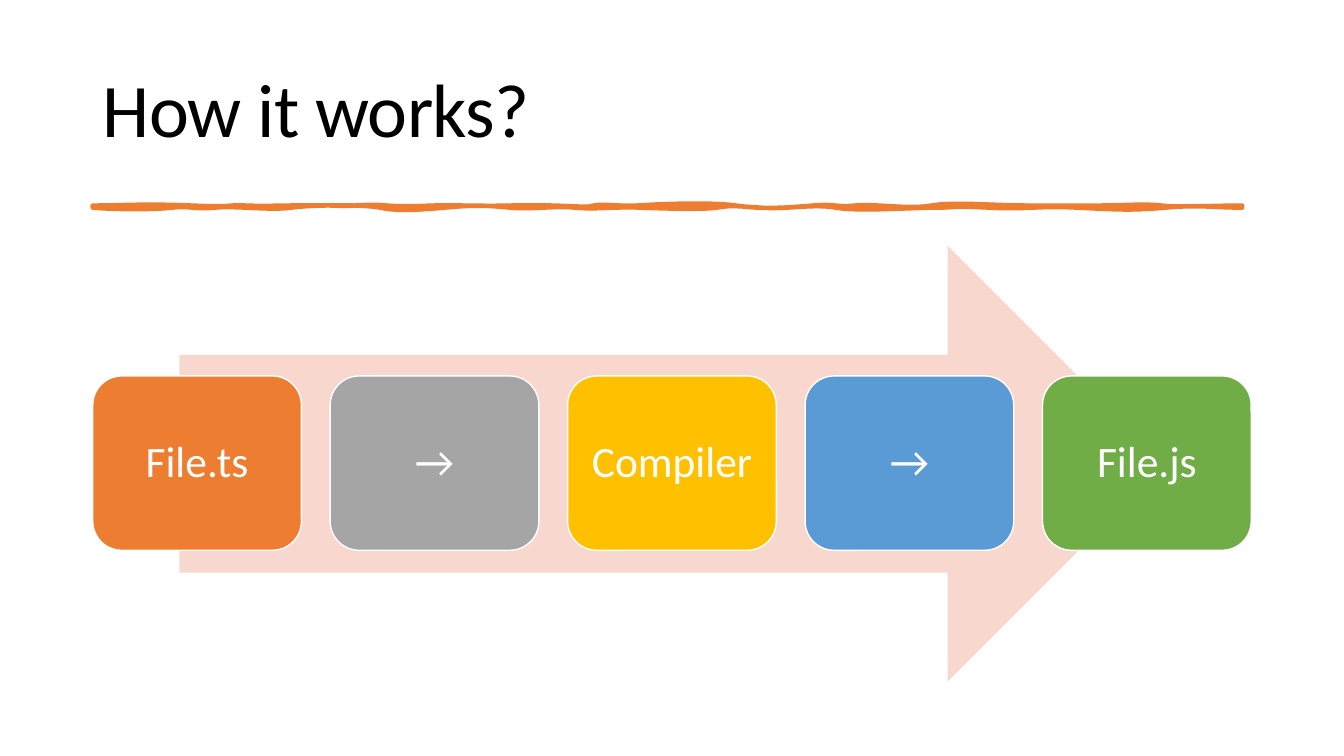
from dataclasses import dataclass

from lxml.etree import SubElement
from pptx import Presentation
from pptx.dml.color import RGBColor
from pptx.enum.shapes import MSO_SHAPE
from pptx.enum.text import MSO_ANCHOR, PP_ALIGN
from pptx.oxml.ns import qn
from pptx.util import Inches, Pt

# Content
TITLE = "How it works?"
STEPS = [
    ("File.ts", "ED7D31"),
    ("→", "A5A5A5"),
    ("Compiler", "FFC000"),
    ("→", "5B9BD5"),
    ("File.js", "70AD47"),
]

# Hand-drawn rule: each curve is two control points and an end point
RULE_START = (0.92, 2.04)
RULE_CURVES = [
    # upper edge, left to right
    (1.19, 2.04, 1.44, 2.02, 1.9, 2.04), (2.37, 2.06, 2.2, 2.03, 2.44, 2.04),
    (2.67, 2.05, 3.03, 2.03, 3.31, 2.04), (3.6, 2.05, 3.59, 2.02, 3.84, 2.04),
    (4.1, 2.06, 4.23, 2.03, 4.6, 2.04), (4.98, 2.05, 5.14, 2.03, 5.48, 2.04),
    (5.81, 2.05, 5.81, 2.06, 5.89, 2.04), (5.98, 2.02, 6.15, 2.05, 6.31, 2.04),
    (6.47, 2.03, 7.01, 2.0, 7.3, 2.04), (7.59, 2.08, 7.81, 2.06, 8.06, 2.04),
    (8.31, 2.02, 8.27, 2.06, 8.48, 2.04), (8.68, 2.02, 9.01, 2.08, 9.24, 2.04),
    (9.47, 2.0, 9.82, 2.04, 10.23, 2.04), (10.63, 2.04, 10.63, 2.04, 10.87, 2.04),
    (11.12, 2.04, 11.36, 2.02, 11.52, 2.04), (11.68, 2.06, 12.03, 2.04, 12.32, 2.04),
    # right end, then lower edge, right to left
    (12.32, 2.05, 12.32, 2.05, 12.32, 2.06),
    (12.05, 2.06, 11.89, 2.03, 11.56, 2.06), (11.22, 2.09, 11.1, 2.08, 10.68, 2.06),
    (10.27, 2.04, 10.23, 2.08, 9.81, 2.06), (9.39, 2.04, 9.52, 2.06, 9.28, 2.06),
    (9.04, 2.06, 8.51, 2.1, 8.29, 2.06), (8.06, 2.02, 7.82, 2.08, 7.53, 2.06),
    (7.24, 2.04, 7.25, 2.04, 7.11, 2.06), (6.98, 2.08, 6.61, 2.07, 6.35, 2.06),
    (6.09, 2.05, 5.9, 2.08, 5.7, 2.06), (5.51, 2.04, 5.28, 2.08, 5.06, 2.06),
    (4.83, 2.04, 4.73, 2.03, 4.41, 2.06), (4.09, 2.09, 3.9, 2.09, 3.77, 2.06),
    (3.63, 2.03, 3.1, 2.03, 2.89, 2.06), (2.68, 2.09, 2.35, 2.04, 2.13, 2.06),
    (1.92, 2.08, 1.89, 2.04, 1.71, 2.06), (1.54, 2.08, 1.14, 2.08, 0.92, 2.06),
]

# Layout
LEFT, RIGHT = 0.92, 12.41
BOX_TOP, BOX_WIDTH, BOX_HEIGHT = 3.73, 2.07, 1.73
BOX_INSET = 0.13
BOX_PITCH = (RIGHT - LEFT - BOX_WIDTH) / (len(STEPS) - 1)


@dataclass
class Theme:
    font: str = "Calibri"
    title: str = "000000"
    rule: str = "ED7D31"
    arrow: str = "F8D7CE"
    light: str = "FFFFFF"
    title_size: float = 54
    step_size: float = 31
    rule_width: float = 3.25
    border_width: float = 1


theme = Theme()


def paint(shape, fill, line=None, width=0):
    shape.shadow.inherit = False
    shape.fill.solid()
    shape.fill.fore_color.rgb = RGBColor.from_string(fill)
    if line:
        shape.line.color.rgb = RGBColor.from_string(line)
        shape.line.width = Pt(width)
    else:
        shape.line.fill.background()


def write(shape, text, size, color, align):
    frame = shape.text_frame
    frame.word_wrap = True
    frame.vertical_anchor = MSO_ANCHOR.MIDDLE
    para = frame.paragraphs[0]
    para.alignment = align
    para.line_spacing = 0.9
    span = para.add_run()
    span.text = text
    span.font.name = theme.font
    span.font.size = Pt(size)
    span.font.color.rgb = RGBColor.from_string(color)
    return span


def add_curves(shapes, start, curves):
    """A closed freeform whose segments are cubic curves."""
    points = [(Inches(curve[i]), Inches(curve[i + 1])) for curve in curves for i in (0, 2, 4)]
    builder = shapes.build_freeform(*map(Inches, start))
    builder.add_line_segments(points, close=True)
    shape = builder.convert_to_shape()
    # Turn every three straight segments into one curve
    outline = next(shape._element.iter(qn("a:path")))
    lines = outline.findall(qn("a:lnTo"))
    for first in range(0, len(lines), 3):
        curve = SubElement(outline, qn("a:cubicBezTo"))
        for line in lines[first:first + 3]:
            curve.append(line[0])
            outline.remove(line)
    outline.append(outline.find(qn("a:close")))
    return shape


def main():
    deck = Presentation()
    deck.slide_width, deck.slide_height = Inches(13.33), Inches(7.5)
    page = deck.slides.add_slide(deck.slide_layouts[6])
    shapes = page.shapes

    # Title
    box = shapes.add_textbox(Inches(LEFT), Inches(0.4), Inches(11.5), Inches(1.45))
    span = write(box, TITLE, theme.title_size, theme.title, PP_ALIGN.LEFT)
    span.font._element.set("spc", "-50")

    # Rule under the title
    rule = add_curves(shapes, RULE_START, RULE_CURVES)
    paint(rule, theme.rule, theme.rule, theme.rule_width)

    # Arrow behind the steps
    arrow = shapes.add_shape(MSO_SHAPE.RIGHT_ARROW, Inches(1.78), Inches(2.44),
                             Inches(9.78), Inches(4.32))
    paint(arrow, theme.arrow)

    # Steps
    for index, (label, color) in enumerate(STEPS):
        step = shapes.add_shape(MSO_SHAPE.ROUNDED_RECTANGLE,
                                Inches(LEFT + index * BOX_PITCH), Inches(BOX_TOP),
                                Inches(BOX_WIDTH), Inches(BOX_HEIGHT))
        paint(step, color, theme.light, theme.border_width)
        frame = step.text_frame
        frame.margin_left = frame.margin_right = Inches(BOX_INSET)
        frame.margin_top = frame.margin_bottom = Inches(BOX_INSET)
        write(step, label, theme.step_size, theme.light, PP_ALIGN.CENTER)

    deck.save("out.pptx")


if __name__ == "__main__":
    main()
